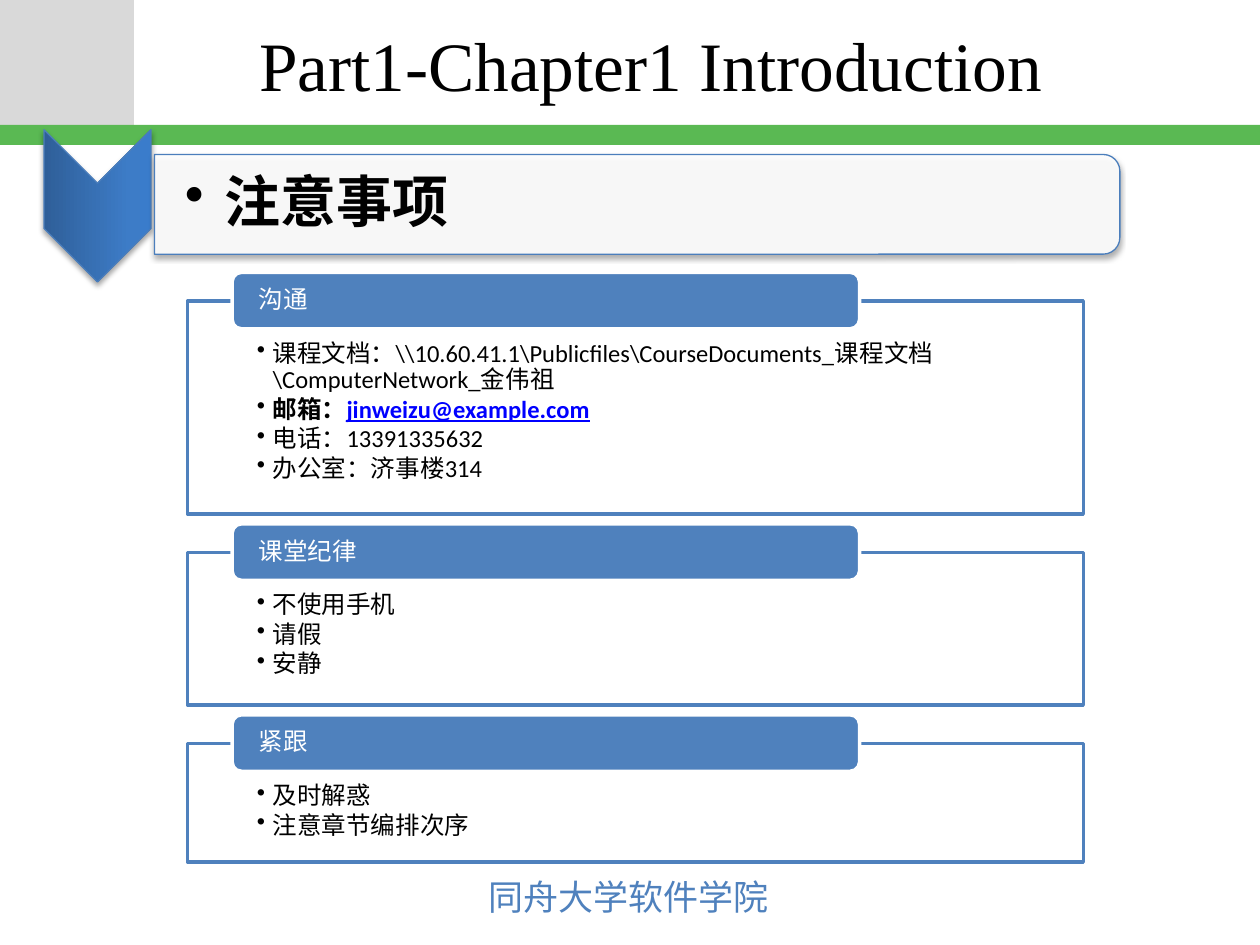
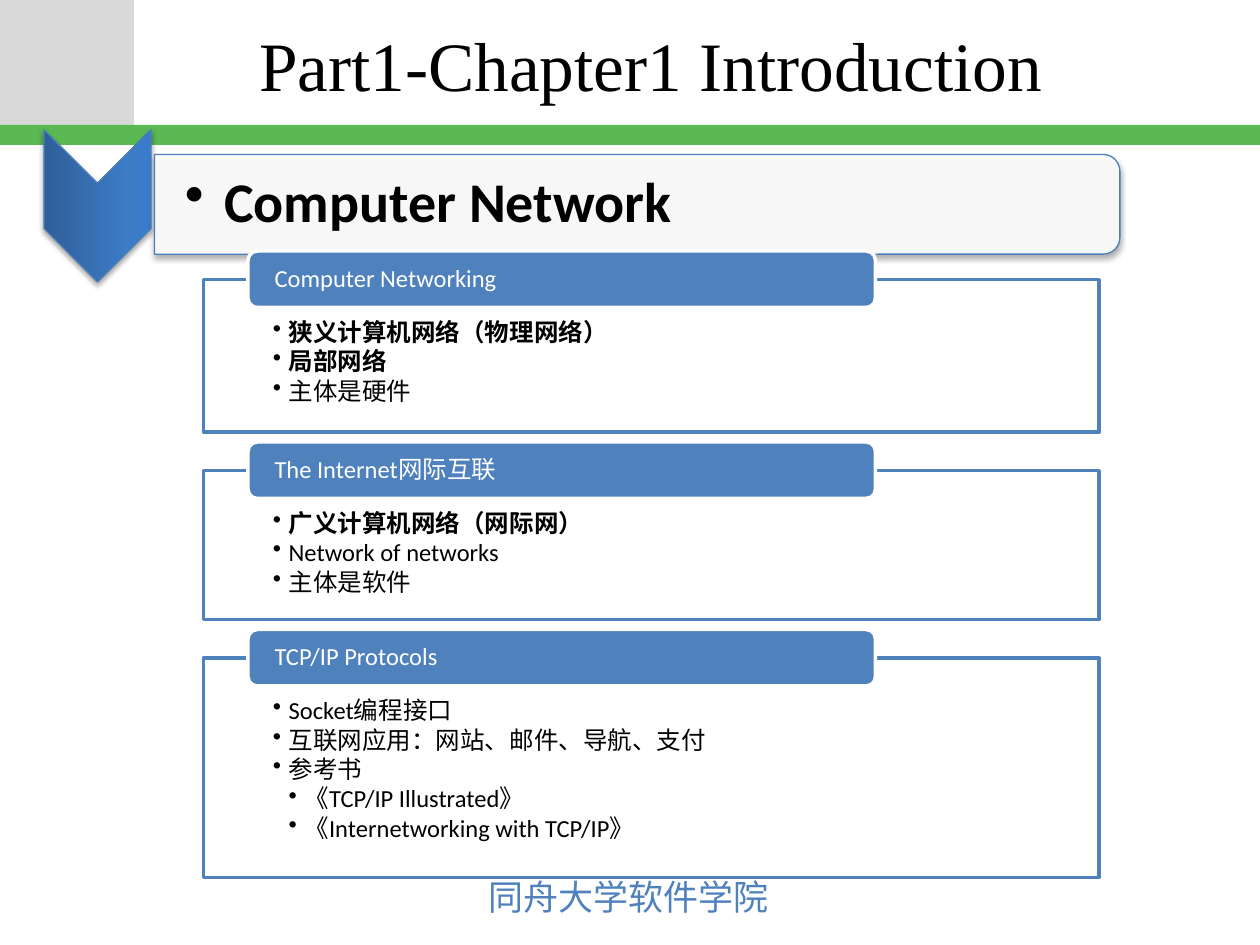
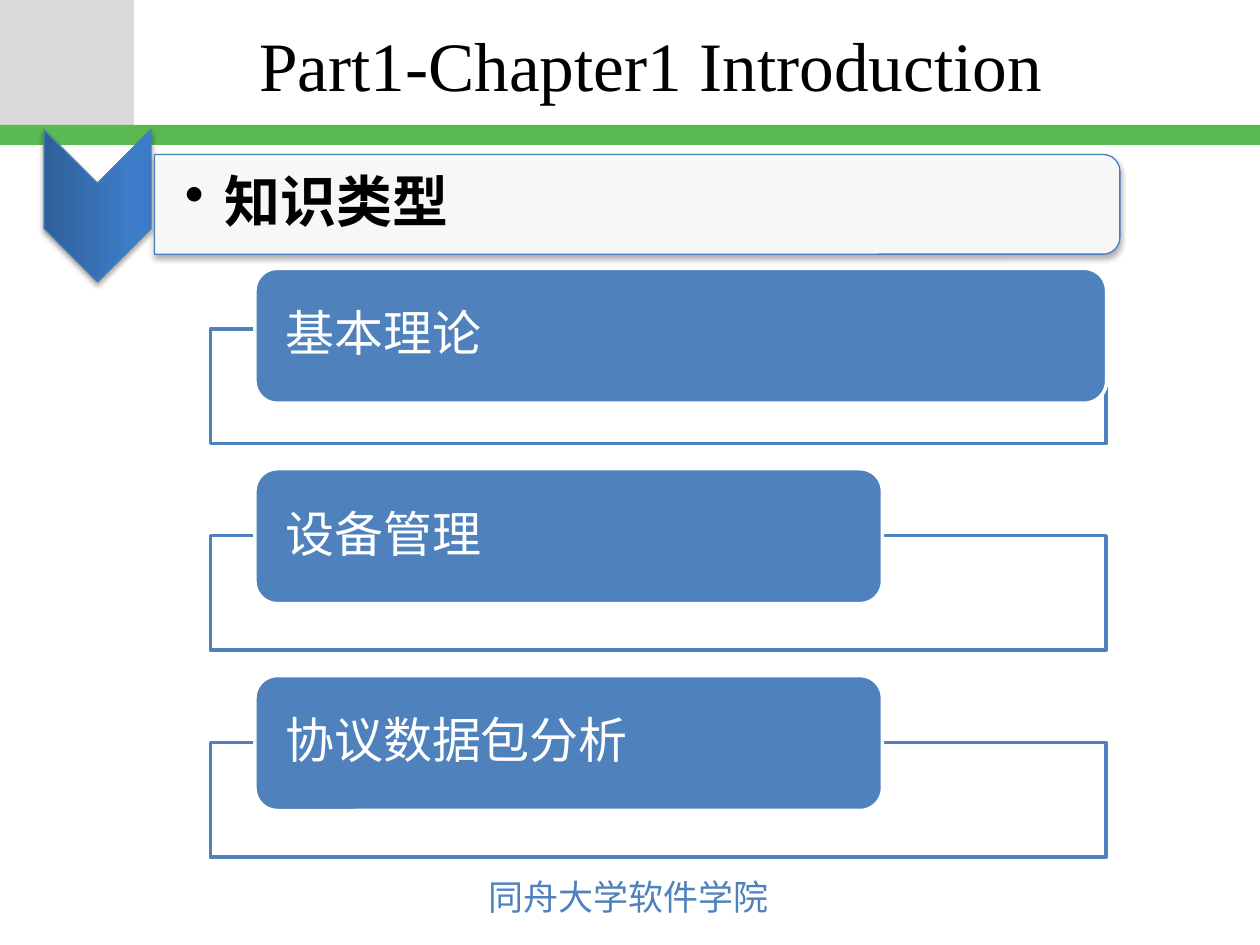
from dataclasses import dataclass
from typing import Optional

from lxml.etree import SubElement
from pptx import Presentation
from pptx.dml.color import RGBColor
from pptx.enum.shapes import MSO_SHAPE as Preset
from pptx.enum.text import MSO_ANCHOR as Anchor, MSO_AUTO_SIZE as AutoSize, PP_ALIGN as Align
from pptx.oxml.ns import qn
from pptx.util import Cm, Pt

BLACK = RGBColor(0x00, 0x00, 0x00)
WHITE = RGBColor(0xFF, 0xFF, 0xFF)
GREY = RGBColor(0xD9, 0xD9, 0xD9)
GREEN = RGBColor(0x5A, 0xB9, 0x53)
BLUE = RGBColor(0x4F, 0x81, 0xBD)
EDGE_BLUE = RGBColor(0x4B, 0x7E, 0xBC)
MAIL_BLUE = RGBColor(0x00, 0x00, 0xFF)
CHEVRON_STOPS = ((0, "2F5F99"), (80000, "3D7CC7"), (100000, "3A7CCB"))

BODY_FONT = "Calibri"
TITLE_FONT = "Times New Roman"
CJK_FONT = "Noto Sans CJK JP"

TITLE = "Part1-Chapter1 Introduction"
SCHOOL = "同舟大学软件学院"
BOX_WIDTH = 18.06
LABEL_INDENT = 0.9


@dataclass(frozen=True)
class Style:
    """Character formatting of a run."""

    size: float
    color: RGBColor = BLACK
    font: str = BODY_FONT
    bold: bool = False
    underline: bool = False


@dataclass(frozen=True)
class Point:
    """A bulleted line, optionally followed by a mail address."""

    text: str
    bold: bool = False
    level: int = 1
    mail: str = ""


@dataclass(frozen=True)
class Section:
    """A framed box with its label."""

    label: str
    height: float
    points: tuple[Point, ...] = ()
    label_width: float = 12.65
    rise: Optional[float] = None


@dataclass(frozen=True)
class Topic:
    """The content of a slide and the rhythm of its boxes."""

    heading: str
    left: float
    top: float
    sections: tuple[Section, ...]
    gap: float = 0.78
    rise: float = 0.58
    label_height: float = 1.14
    label_size: float = 14


TOPICS = (
    Topic("注意事项", 3.78, 6.07, (
        Section("沟通", 4.29, (
            Point(r"课程文档：\\10.60.41.1\Publicfiles\CourseDocuments_课程文档\ComputerNetwork_金伟祖"),
            Point("邮箱：", bold=True, mail="jinweizu@example.com"),
            Point("电话：13391335632"),
            Point("办公室：济事楼314"),
        )),
        Section("课堂纪律", 3.07, (Point("不使用手机"), Point("请假"), Point("安静"))),
        Section("紧跟", 2.39, (Point("及时解惑"), Point("注意章节编排次序"))),
    )),
    Topic("Computer Network", 4.1, 5.64, (
        Section("Computer Networking", 3.07, (
            Point("狭义计算机网络（物理网络）", bold=True),
            Point("局部网络", bold=True),
            Point("主体是硬件"),
        )),
        Section("The Internet网际互联", 3.0, (
            Point("广义计算机网络（网际网）", bold=True),
            Point("Network of networks"),
            Point("主体是软件"),
        )),
        Section("TCP/IP Protocols", 4.42, (
            Point("Socket编程接口"),
            Point("互联网应用：网站、邮件、导航、支付"),
            Point("参考书"),
            Point("《TCP/IP Illustrated》", level=2),
            Point("《Internetworking with TCP/IP》", level=2),
        )),
    )),
    Topic("知识类型", 4.24, 6.63, (
        Section("基本理论", 2.31, label_width=17.17, rise=1.22),
        Section("设备管理", 2.31),
        Section("协议数据包分析", 2.31),
    ), gap=1.86, rise=1.35, label_height=2.72, label_size=28),
)


def add_block(slide, preset, left: float, top: float, width: float, height: float,
              fill: RGBColor, line: Optional[RGBColor] = None, weight: float = 0.75):
    """Add a flat preset shape, measured in centimetres."""
    block = slide.shapes.add_shape(preset, Cm(left), Cm(top), Cm(width), Cm(height))
    block.shadow.inherit = False
    block.fill.solid()
    block.fill.fore_color.rgb = fill
    if line is None:
        block.line.fill.background()
    else:
        block.line.color.rgb = line
        block.line.width = Pt(weight)
    return block


def add_text_area(slide, left: float, top: float, width: float, height: float):
    """Add a text box and return its frame."""
    return slide.shapes.add_textbox(Cm(left), Cm(top), Cm(width), Cm(height)).text_frame


def set_frame(frame, anchor, left: float, top: float, right: float, bottom: float) -> None:
    """Wrap a text frame and set its anchor and insets."""
    frame.word_wrap = True
    frame.vertical_anchor = anchor
    frame.margin_left, frame.margin_top = Cm(left), Cm(top)
    frame.margin_right, frame.margin_bottom = Cm(right), Cm(bottom)


def add_run(paragraph, text: str, style: Style) -> None:
    """Append a formatted run with Latin and East Asian fonts."""
    run = paragraph.add_run()
    run.text = text
    font = run.font
    font.name, font.size = style.font, Pt(style.size)
    font.bold, font.underline = style.bold, style.underline
    font.color.rgb = style.color
    SubElement(font._element, qn("a:ea"), typeface=CJK_FONT)


def set_bullet(paragraph, margin: float, hanging: float) -> None:
    """Give a paragraph a round bullet with a hanging indent."""
    properties = paragraph._p.get_or_add_pPr()
    properties.set("marL", str(Cm(margin)))
    properties.set("indent", str(-Cm(hanging)))
    SubElement(properties, qn("a:buChar"), char="•")


def make_translucent(block) -> None:
    """Set the solid fill to ninety percent opacity."""
    color = block._element.spPr.find(f"{qn('a:solidFill')}/{qn('a:srgbClr')}")
    SubElement(color, qn("a:alpha"), val="90000")


def add_soft_shadow(block) -> None:
    """Cast a soft shadow straight down."""
    effects = block._element.spPr.find(qn("a:effectLst"))
    shadow = SubElement(effects, qn("a:outerShdw"), blurRad=str(Pt(3.1)), dist=str(Pt(1.8)),
                        dir="5400000", rotWithShape="0")
    color = SubElement(shadow, qn("a:srgbClr"), val=str(BLACK))
    SubElement(color, qn("a:alpha"), val="35000")


def fill_chevron(chevron) -> None:
    """Shade the chevron from dark to bright blue."""
    chevron.fill.gradient()
    chevron.fill.gradient_angle = 90
    stops = chevron._element.spPr.find(f"{qn('a:gradFill')}/{qn('a:gsLst')}")
    for stop in list(stops):
        stops.remove(stop)
    for position, color in CHEVRON_STOPS:
        stop = SubElement(stops, qn("a:gs"), pos=str(position))
        SubElement(stop, qn("a:srgbClr"), val=color)


def draw_frame(slide) -> None:
    """Draw the bands, the title and the footer."""
    add_block(slide, Preset.RECTANGLE, 0, 0, 2.7, 2.52, GREY)
    add_block(slide, Preset.RECTANGLE, 0, 2.52, 25.4, 0.4, GREEN)

    footer = add_text_area(slide, 9.6, 17.53, 6.22, 1.12)
    footer.word_wrap = False
    footer.auto_size = AutoSize.SHAPE_TO_FIT_TEXT
    add_run(footer.paragraphs[0], SCHOOL, Style(20, BLUE, CJK_FONT))

    title = add_text_area(slide, 4.42, 0.05, 17.4, 2.49)
    set_frame(title, Anchor.MIDDLE, 0.25, 0.13, 0.25, 0.13)
    title.paragraphs[0].alignment = Align.CENTER
    add_run(title.paragraphs[0], TITLE, Style(39.6, font=TITLE_FONT))


def draw_heading(slide, text: str) -> None:
    """Draw the chevron and the heading panel beside it."""
    chevron = add_block(slide, Preset.CHEVRON, 0.43, 3.07, 3.07, 2.16, BLUE, EDGE_BLUE)
    fill_chevron(chevron)
    panel = add_block(slide, Preset.ROUND_2_SAME_RECTANGLE, 11.84, -5.61, 2.01, 19.46,
                      WHITE, EDGE_BLUE)
    make_translucent(panel)
    for part in (chevron, panel):
        part.rotation = 90
        add_soft_shadow(part)

    heading = add_text_area(slide, 3.1, 3.23, 19.38, 1.8)
    set_frame(heading, Anchor.MIDDLE, 0.63, 0.05, 0.05, 0.05)
    paragraph = heading.paragraphs[0]
    paragraph.line_spacing = 0.9
    set_bullet(paragraph, 0.79, 0.79)
    add_run(paragraph, text, Style(32, bold=True))


def write_points(frame, points: tuple[Point, ...]) -> None:
    """Write the bulleted lines of a box."""
    set_frame(frame, Anchor.TOP, 1.4, 0.81, 1.4, 0.28)
    for index, point in enumerate(points):
        paragraph = frame.add_paragraph() if index else frame.paragraphs[0]
        paragraph.alignment = Align.LEFT
        paragraph.level = point.level
        paragraph.line_spacing = 0.9
        paragraph.space_after = Pt(1.7)
        set_bullet(paragraph, 0.32 * point.level, 0.32)
        add_run(paragraph, point.text, Style(14, bold=point.bold))
        if point.mail:
            add_run(paragraph, point.mail, Style(14, MAIL_BLUE, bold=point.bold, underline=True))


def draw_section(slide, topic: Topic, section: Section, top: float) -> None:
    """Draw a box with its points and the label on its upper edge."""
    box = add_block(slide, Preset.RECTANGLE, topic.left, top, BOX_WIDTH, section.height,
                    WHITE, BLUE, 2)
    make_translucent(box)
    write_points(box.text_frame, section.points)

    rise = topic.rise if section.rise is None else section.rise
    label = add_block(slide, Preset.ROUNDED_RECTANGLE, topic.left + LABEL_INDENT, top - rise,
                      section.label_width, topic.label_height, BLUE, WHITE, 2)
    set_frame(label.text_frame, Anchor.MIDDLE, 0.48, 0, 0.48, 0)
    paragraph = label.text_frame.paragraphs[0]
    paragraph.alignment = Align.LEFT
    paragraph.line_spacing = 0.9
    add_run(paragraph, section.label, Style(topic.label_size, WHITE))


def main() -> None:
    """Build and save the presentation."""
    deck = Presentation()
    deck.slide_width, deck.slide_height = Cm(25.4), Cm(19.05)
    for topic in TOPICS:
        slide = deck.slides.add_slide(deck.slide_layouts[6])
        draw_frame(slide)
        draw_heading(slide, topic.heading)
        top = topic.top
        for section in topic.sections:
            draw_section(slide, topic, section, top)
            top += section.height + topic.gap
    deck.save("out.pptx")


if __name__ == "__main__":
    main()
